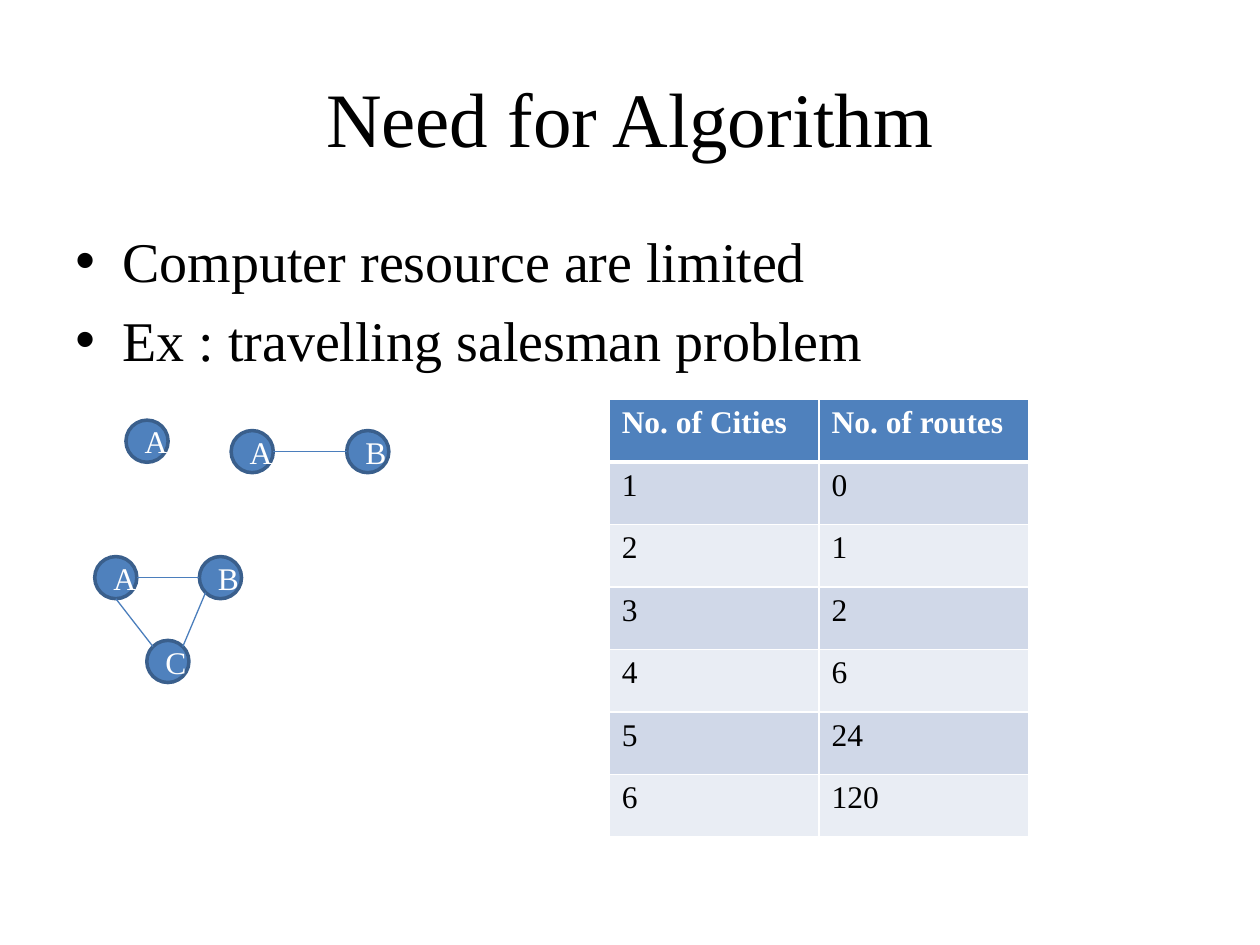
from dataclasses import dataclass
from math import cos, radians, sin

from lxml import etree
from pptx import Presentation
from pptx.dml.color import RGBColor
from pptx.enum.shapes import MSO_CONNECTOR, MSO_SHAPE
from pptx.enum.text import MSO_ANCHOR, PP_ALIGN
from pptx.oxml.ns import qn
from pptx.util import Cm, Pt

OVAL = MSO_SHAPE.OVAL
STRAIGHT = MSO_CONNECTOR.STRAIGHT
MIDDLE = MSO_ANCHOR.MIDDLE
CENTER = PP_ALIGN.CENTER


@dataclass(frozen=True)
class Theme:
    font: str = "Times New Roman"
    title_size: int = 44
    body_size: int = 32
    small_size: int = 18
    text: str = "000000"
    light: str = "FFFFFF"
    accent: str = "4F81BD"
    outline: str = "3A5F8C"
    edge: str = "4B7EBC"
    bands: tuple = ("D0D8E8", "E9EDF4")


THEME = Theme()
CITY_SIZE = 0.85

# Name of each city circle: letter, left, top (cm)
CITIES = {
    "single A": ("A", 2.54, 8.47),
    "pair A": ("A", 4.66, 8.68),
    "pair B": ("B", 6.99, 8.68),
    "triangle A": ("A", 1.91, 11.22),
    "triangle B": ("B", 4.02, 11.22),
    "triangle C": ("C", 2.96, 12.91),
}

# Start city and angle, end city and angle; degrees clockwise from the right
ROADS = [
    ("pair A", 0, "pair B", 180),
    ("triangle A", 0, "triangle B", 180),
    ("triangle A", 90, "triangle C", 225),
    ("triangle B", 135, "triangle C", 315),
]

ROUTES = [
    ("No. of Cities", "No. of routes"),
    ("1", "0"),
    ("2", "1"),
    ("3", "2"),
    ("4", "6"),
    ("5", "24"),
    ("6", "120"),
]


def color(value):
    return RGBColor.from_string(value)


def format_runs(frame, size, value, bold=False):
    for para in frame.paragraphs:
        for span in para.runs:
            span.font.name = THEME.font
            span.font.size = Pt(size)
            span.font.color.rgb = color(value)
            span.font.bold = bold


def add_text(page, text, left, top, width, height, size):
    box = page.shapes.add_textbox(Cm(left), Cm(top), Cm(width), Cm(height))
    frame = box.text_frame
    frame.word_wrap = True
    frame.text = text
    format_runs(frame, size, THEME.text)
    return frame


def add_title(page, text):
    frame = add_text(page, text, 1.27, 0.76, 22.86, 3.18, THEME.title_size)
    frame.vertical_anchor = MIDDLE
    frame.paragraphs[0].alignment = CENTER


def add_bullets(page, lines):
    frame = add_text(page, "\n".join(lines), 1.27, 4.45, 22.86, 12.57, THEME.body_size)
    for para in frame.paragraphs:
        properties = para._p.get_or_add_pPr()
        properties.set("marL", str(Cm(0.95)))
        properties.set("indent", str(-Cm(0.95)))
        spacing = etree.SubElement(properties, qn("a:spcBef"))
        etree.SubElement(spacing, qn("a:spcPct"), val="20000")
        etree.SubElement(properties, qn("a:buFont"), typeface="Arial")
        etree.SubElement(properties, qn("a:buChar"), char="•")


def add_city(page, letter, left, top):
    city = page.shapes.add_shape(OVAL, Cm(left), Cm(top), Cm(CITY_SIZE), Cm(CITY_SIZE))
    city.shadow.inherit = False
    city.fill.solid()
    city.fill.fore_color.rgb = color(THEME.accent)
    city.line.color.rgb = color(THEME.outline)
    city.line.width = Pt(2)
    frame = city.text_frame
    frame.text = letter
    frame.vertical_anchor = MIDDLE
    frame.paragraphs[0].alignment = CENTER
    format_runs(frame, THEME.small_size, THEME.light)


def rim_point(city, angle):
    """Return the point on a city's circle at the given angle."""
    _, left, top = CITIES[city]
    radius = CITY_SIZE / 2
    return (Cm(left + radius + radius * cos(radians(angle))),
            Cm(top + radius + radius * sin(radians(angle))))


def add_road(page, start, start_angle, end, end_angle):
    road = page.shapes.add_connector(
        STRAIGHT, *rim_point(start, start_angle), *rim_point(end, end_angle))
    road.line.color.rgb = color(THEME.edge)
    road.line.width = Pt(0.75)
    etree.SubElement(road._element.spPr, qn("a:effectLst"))


def set_borders(cell, widths):
    """Draw light borders; widths maps a side (L, R, T, B) to points."""
    properties = cell._tc.get_or_add_tcPr()
    for side, width in widths.items():
        line = etree.SubElement(properties, qn(f"a:ln{side}"), w=str(Pt(width)))
        fill = etree.SubElement(line, qn("a:solidFill"))
        etree.SubElement(fill, qn("a:srgbClr"), val=THEME.light)


def add_route_table(page, rows):
    row_height, column_width = 1.26, 4.23
    table = page.shapes.add_table(
        len(rows), 2, Cm(12.28), Cm(8.05),
        Cm(2 * column_width), Cm(row_height * len(rows))).table
    for column in table.columns:
        column.width = Cm(column_width)
    for index, values in enumerate(rows):
        table.rows[index].height = Cm(row_height)
        header = index == 0
        fill = THEME.accent if header else THEME.bands[(index - 1) % 2]
        widths = {"L": 1, "R": 1, "T": 3 if index == 1 else 1, "B": 3 if header else 1}
        for cell, value in zip(table.rows[index].cells, values):
            set_borders(cell, widths)
            cell.fill.solid()
            cell.fill.fore_color.rgb = color(fill)
            cell.text_frame.text = value
            format_runs(cell.text_frame, THEME.small_size,
                        THEME.light if header else THEME.text, header)


def main():
    deck = Presentation()
    deck.slide_width, deck.slide_height = Cm(25.4), Cm(19.05)
    page = deck.slides.add_slide(deck.slide_layouts[6])
    add_title(page, "Need for Algorithm")
    add_bullets(page, ["Computer resource are limited",
                       "Ex : travelling salesman problem"])
    for city in CITIES.values():
        add_city(page, *city)
    for road in ROADS:
        add_road(page, *road)
    add_route_table(page, ROUTES)
    deck.save("out.pptx")


if __name__ == "__main__":
    main()
